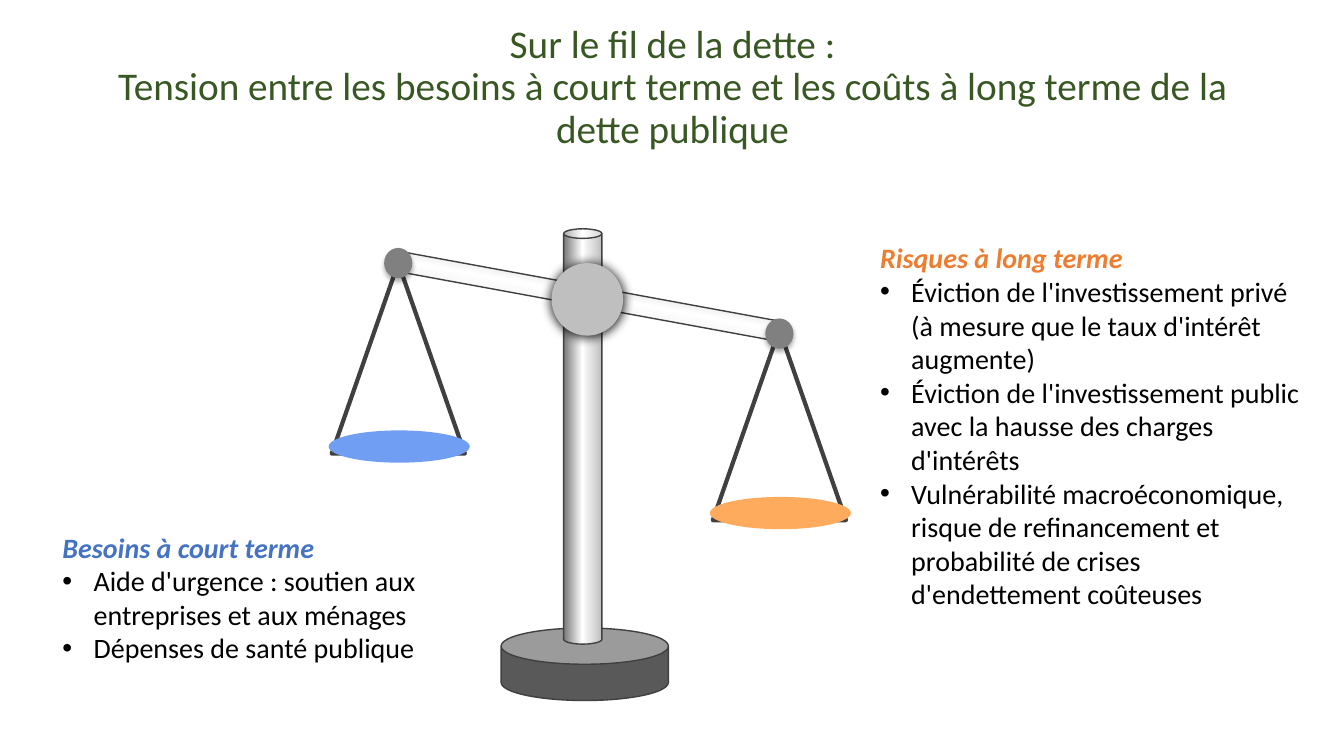
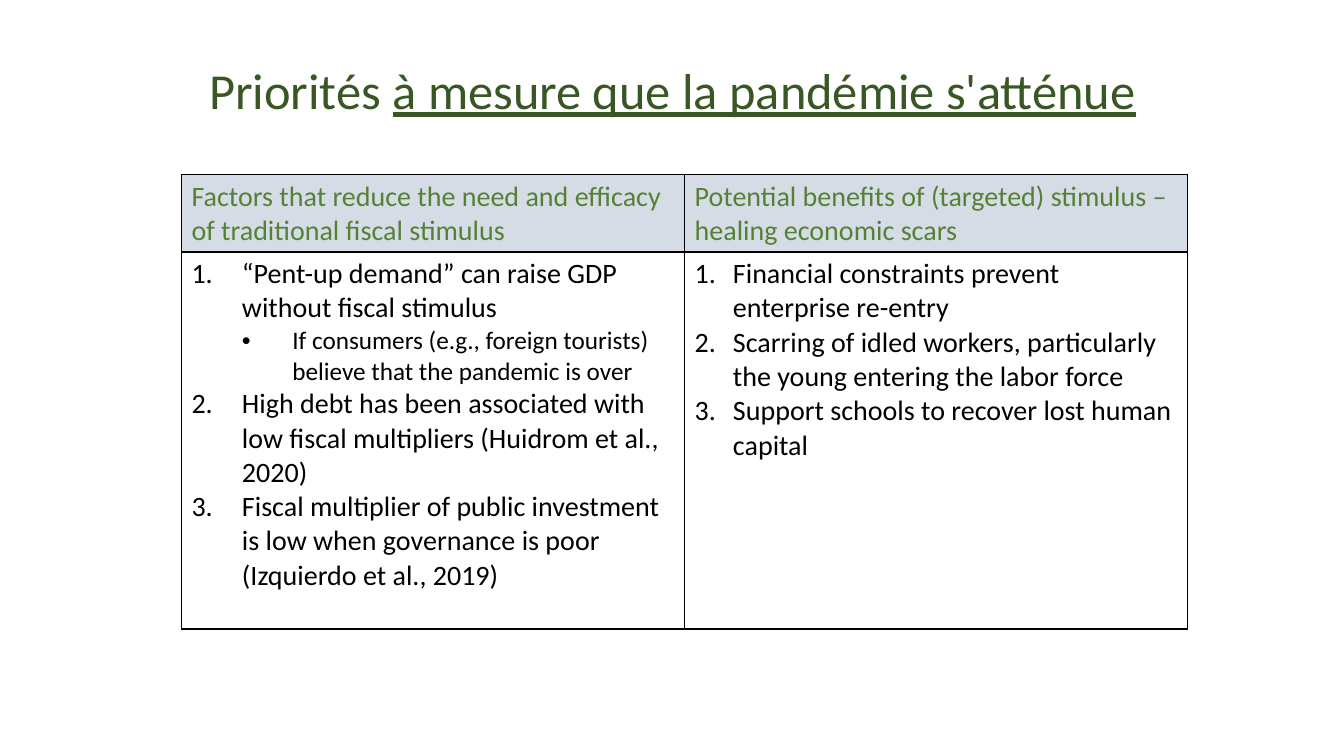
from copy import deepcopy
from pptx import Presentation
from pptx.dml.color import RGBColor
from pptx.enum import shapes as kinds, text as enums
from pptx.oxml import parse_xml
from pptx.oxml.ns import nsdecls, qn
from pptx.util import Inches, Pt

FONT = "Calibri"
DARK_GREEN, GREEN, BLACK = "385723", "548235", "000000"
OUTLINE, KNOB = "404040", "808080"
METAL = [(0.03, "808080"), (0.49, "FFFFFF"), (1, "BFBFBF")]

DEBT_TITLE = [
    ("Sur le fil de la dette :", False),
    ("\n", False),
    ("Tension entre les besoins à court terme et les coûts à long terme de la dette publique", False),
]
PRIORITY_TITLE = [("Priorités ", False), ("à mesure que la pandémie s'atténue", True)]

SIDES = [
    ("Besoins à court terme", "4472C4", (0.52, 5.21, 3.79, 1.45), [
        "Aide d'urgence : soutien aux entreprises et aux ménages",
        "Dépenses de santé publique",
    ]),
    ("Risques à long terme", "ED7D31", (8.63, 2.34, 4.47, 3.8), [
        "Éviction de l'investissement privé (à mesure que le taux d'intérêt augmente)",
        "Éviction de l'investissement public avec la hausse des charges d'intérêts",
        "Vulnérabilité macroéconomique, risque de refinancement et probabilité de crises "
        "d'endettement coûteuses",
    ]),
]
PANS = [("709EF2", 3.95, 2.61, 2.61), ("FFAB5E", 7.73, 3.27, 3.31)]

COLUMNS = [
    ("Factors that reduce the need and efficacy of traditional fiscal stimulus", 0.5, [
        (0, "“Pent-up demand” can raise GDP without fiscal stimulus"),
        (1, "If consumers (e.g., foreign tourists) believe that the pandemic is over"),
        (0, "High debt has been associated with low fiscal multipliers (Huidrom et al., 2020)"),
        (0, "Fiscal multiplier of public investment is low when governance is poor "
            "(Izquierdo et al., 2019)"),
    ]),
    ("Potential benefits of (targeted) stimulus – healing economic scars", 0.38, [
        (0, "Financial constraints prevent enterprise re-entry"),
        (0, "Scarring of idled workers, particularly the young entering the labor force"),
        (0, "Support schools to recover lost human capital"),
    ]),
]
COLUMN_WIDTH, ROW_HEIGHTS = 4.99, (0.77, 3.74)


def rgb(color):
    return RGBColor.from_string(color)


def add_run(paragraph, words, size, color, emphasis=False, underline=False):
    run = paragraph.add_run()
    run.text = words
    font = run.font
    font.name, font.size, font.color.rgb = FONT, Pt(size), rgb(color)
    font.bold = font.italic = emphasis
    font.underline = underline


def add_bullet(paragraph, left, hang, numbered=False):
    props = paragraph._p.get_or_add_pPr()
    props.set("marL", str(Inches(left)))
    props.set("indent", str(-Inches(hang)))
    if numbered:
        marks = ['<a:buFont %s typeface="+mj-lt"/>', '<a:buAutoNum %s type="arabicPeriod"/>']
    else:
        marks = ['<a:buFont %s typeface="Arial"/>', '<a:buChar %s char="•"/>']
    for mark in marks:
        props.append(parse_xml(mark % nsdecls("a")))


def next_paragraph(frame):
    first = frame.paragraphs[0]
    return frame.add_paragraph() if first.runs else first


def add_frame(slide, box):
    frame = slide.shapes.add_textbox(*map(Inches, box)).text_frame
    frame.word_wrap = True
    return frame


def add_title(slide, parts, top, height, size):
    frame = add_frame(slide, (0.92, top, 11.5, height))
    frame.vertical_anchor = enums.MSO_ANCHOR.MIDDLE
    paragraph = frame.paragraphs[0]
    paragraph.alignment = enums.PP_ALIGN.CENTER
    paragraph.line_spacing = 0.9
    for words, underline in parts:
        if words == "\n":
            paragraph.add_line_break()
        else:
            add_run(paragraph, words, size, DARK_GREEN, underline=underline)


def add_part(slide, kind, box, fill=None, line=0, adjust=None):
    part = slide.shapes.add_shape(kind, *map(Inches, box))
    part.shadow.inherit = False
    if fill:
        part.fill.solid()
        part.fill.fore_color.rgb = rgb(fill)
    else:
        part.fill.background()
    if line:
        part.line.color.rgb = rgb(OUTLINE)
        part.line.width = Pt(line)
    else:
        part.line.fill.background()
    if adjust:
        part.adjustments[0] = adjust
    return part


def polish(part, stops):
    part.fill.gradient()
    part.fill.gradient_angle = 0
    stop_list = part._element.spPr.find(qn("a:gradFill")).find(qn("a:gsLst"))
    stop_list.append(deepcopy(stop_list[0]))
    for stop, (position, color) in zip(part.fill.gradient_stops, stops):
        stop.position = position
        stop.color.rgb = rgb(color)


def cast_shadow(part, opacity, blur, distance):
    part._element.spPr.find(qn("a:effectLst")).append(parse_xml(
        f'<a:outerShdw {nsdecls("a")} blurRad="{Pt(blur)}" dist="{Pt(distance)}" dir="5400000" '
        f'algn="t" rotWithShape="0"><a:srgbClr val="{BLACK}">'
        f'<a:alpha val="{opacity * 1000}"/></a:srgbClr></a:outerShdw>'))


def add_scales(slide):
    shape = kinds.MSO_SHAPE
    add_part(slide, shape.CAN, (4.97, 6.23, 1.66, 0.72), "595959", 1, 0.5)
    pillar = add_part(slide, shape.CAN, (5.59, 2.27, 0.38, 4.12), line=1)
    polish(pillar, METAL)
    beam = add_part(slide, shape.CAN, (5.74, 1.02, 0.2, 3.84), line=1)
    beam.rotation = 280.4
    polish(beam, [(1 - position, color) for position, color in reversed(METAL)])
    for color, center, top, pivot in PANS:
        add_part(slide, shape.ISOSCELES_TRIANGLE, (center - 0.66, top, 1.32, 1.89), line=3)
        add_part(slide, shape.OVAL, (center - 0.69, top + 1.66, 1.4, 0.32), color)
        knob = add_part(slide, shape.OVAL, (center - 0.14, pivot - 0.15, 0.28, 0.3), KNOB)
        cast_shadow(knob, 32, 3.5, 2.2)
    hub = add_part(slide, shape.OVAL, (5.47, 2.61, 0.71, 0.72), "BFBFBF")
    cast_shadow(hub, 100, 8.5, 1)


def paint_cell(cell, color):
    cell.fill.solid()
    cell.fill.fore_color.rgb = rgb(color)
    props = cell._tc.get_or_add_tcPr()
    for place, side in enumerate("LRTB"):
        props.insert(place, parse_xml(
            f'<a:ln{side} {nsdecls("a")} w="{Pt(1)}"><a:solidFill>'
            f'<a:srgbClr val="{BLACK}"/></a:solidFill></a:ln{side}>'))


def add_debt_slide(deck):
    slide = deck.slides.add_slide(deck.slide_layouts[6])
    add_title(slide, DEBT_TITLE, 0.11, 1.53, 28)
    add_scales(slide)
    for heading, color, box, points in SIDES:
        frame = add_frame(slide, box)
        add_run(frame.paragraphs[0], heading, 20, color, emphasis=True)
        for point in points:
            paragraph = next_paragraph(frame)
            add_bullet(paragraph, 0.31, 0.31)
            add_run(paragraph, point, 20, BLACK)


def add_priority_slide(deck):
    slide = deck.slides.add_slide(deck.slide_layouts[6])
    add_title(slide, PRIORITY_TITLE, 0.4, 1.05, 36)
    box = (1.8, 1.73, COLUMN_WIDTH * len(COLUMNS), sum(ROW_HEIGHTS))
    table = slide.shapes.add_table(2, len(COLUMNS), *map(Inches, box)).table
    table.first_row = table.horz_banding = False
    for row, height in zip(table.rows, ROW_HEIGHTS):
        row.height = Inches(height)
    for index, (heading, hang, points) in enumerate(COLUMNS):
        table.columns[index].width = Inches(COLUMN_WIDTH)
        head, body = table.cell(0, index), table.cell(1, index)
        paint_cell(head, "D6DCE5")
        paint_cell(body, "FFFFFF")
        add_run(head.text_frame.paragraphs[0], heading, 20, GREEN)
        for level, point in points:
            paragraph = next_paragraph(body.text_frame)
            paragraph.level = level
            add_bullet(paragraph, hang * (level + 1), hang, numbered=level == 0)
            add_run(paragraph, point, 20 - 2 * level, BLACK)


def main():
    deck = Presentation()
    deck.slide_width, deck.slide_height = Inches(13.33), Inches(7.5)
    add_debt_slide(deck)
    add_priority_slide(deck)
    deck.save("out.pptx")


if __name__ == "__main__":
    main()
